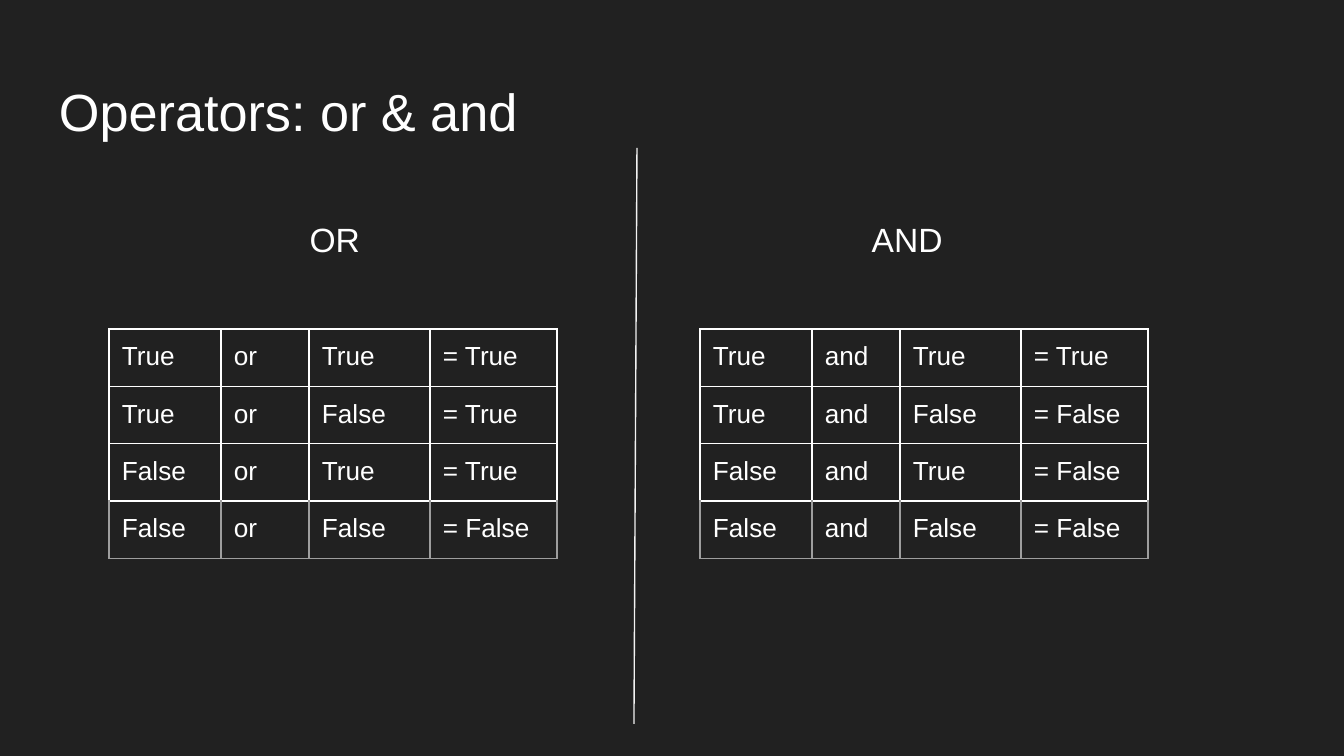
import pptx
import pptx.util
import pptx.dml.color
import pptx.enum.shapes
import pptx.enum.text
import pptx.oxml.ns
from lxml import etree

TITLE = "Operators: or & and"
PANELS = [
    {"head": "OR", "left": 95, "grid": 109, "rows": [
        ("True", "or", "True", "= True"),
        ("True", "or", "False", "= True"),
        ("False", "or", "True", "= True"),
        ("False", "or", "False", "= False"),
    ]},
    {"head": "AND", "left": 657, "grid": 700, "rows": [
        ("True", "and", "True", "= True"),
        ("True", "and", "False", "= False"),
        ("False", "and", "True", "= False"),
        ("False", "and", "False", "= False"),
    ]},
]
COLS = (112, 88, 121, 127)
ROW = 47
PAD = 13
INK = {"back": "212121", "text": "FFFFFF", "rule": "F3F3F3", "edge": "9E9E9E"}
SCALE = 914400 / 134.4


def px(size):
    return pptx.util.Emu(round(size * SCALE))


def color(name):
    return pptx.dml.color.RGBColor.from_string(INK[name])


def style(para, text, size):
    para.text = text
    para.font.name = "Arial"
    para.font.size = pptx.util.Pt(size)
    para.font.color.rgb = color("text")


def label(slide, box, text, size, anchor):
    frame = slide.shapes.add_textbox(*map(px, box)).text_frame
    frame.word_wrap = True
    frame.vertical_anchor = anchor
    frame.margin_left = frame.margin_right = px(PAD)
    frame.margin_top = frame.margin_bottom = px(PAD)
    style(frame.paragraphs[0], text, size)
    return frame.paragraphs[0]


def border(cell, sides):
    props = cell._tc.get_or_add_tcPr()
    for pos, (side, name) in enumerate(sides.items()):
        line = etree.Element(pptx.oxml.ns.qn("a:ln" + side), w="9525")
        fill = etree.SubElement(line, pptx.oxml.ns.qn("a:solidFill"))
        etree.SubElement(fill, pptx.oxml.ns.qn("a:srgbClr"), val=INK[name])
        props.insert(pos, line)


def grid(slide, left, rows):
    box = (left, 329, sum(COLS), ROW * len(rows))
    table = slide.shapes.add_table(len(rows), len(COLS), *map(px, box)).table
    table.first_row = table.horz_banding = False
    for col, width in zip(table.columns, COLS):
        col.width = px(width)
    for r, row in enumerate(rows):
        table.rows[r].height = px(ROW)
        edge = "edge" if r == len(rows) - 1 else "text"
        for c, text in enumerate(row):
            cell = table.cell(r, c)
            cell.fill.background()
            cell.margin_left = cell.margin_right = px(PAD)
            cell.margin_top = cell.margin_bottom = px(PAD)
            style(cell.text_frame.paragraphs[0], text, 14)
            border(cell, {"L": edge, "R": edge, "T": "text", "B": edge})


def main():
    deck = pptx.Presentation()
    deck.slide_width, deck.slide_height = px(1344), px(756)
    slide = deck.slides.add_slide(deck.slide_layouts[6])
    slide.background.fill.solid()
    slide.background.fill.fore_color.rgb = color("back")

    anchor = pptx.enum.text.MSO_ANCHOR
    label(slide, (46, 66, 1252, 85), TITLE, 28, anchor.TOP)
    for panel in PANELS:
        grid(slide, panel["grid"], panel["rows"])
        box = (panel["left"], 176, 517, 126)
        para = label(slide, box, panel["head"], 18, anchor.MIDDLE)
        props = para._p.get_or_add_pPr()
        props.set("marL", "914400")
        props.set("indent", "457200")

    rule = slide.shapes.add_connector(
        pptx.enum.shapes.MSO_CONNECTOR.STRAIGHT, *map(px, (637, 148, 634, 724)))
    rule.line.color.rgb = color("rule")
    rule.line.width = pptx.util.Pt(0.75)
    etree.SubElement(rule._element.spPr, pptx.oxml.ns.qn("a:effectLst"))
    deck.save("out.pptx")


if __name__ == "__main__":
    main()
